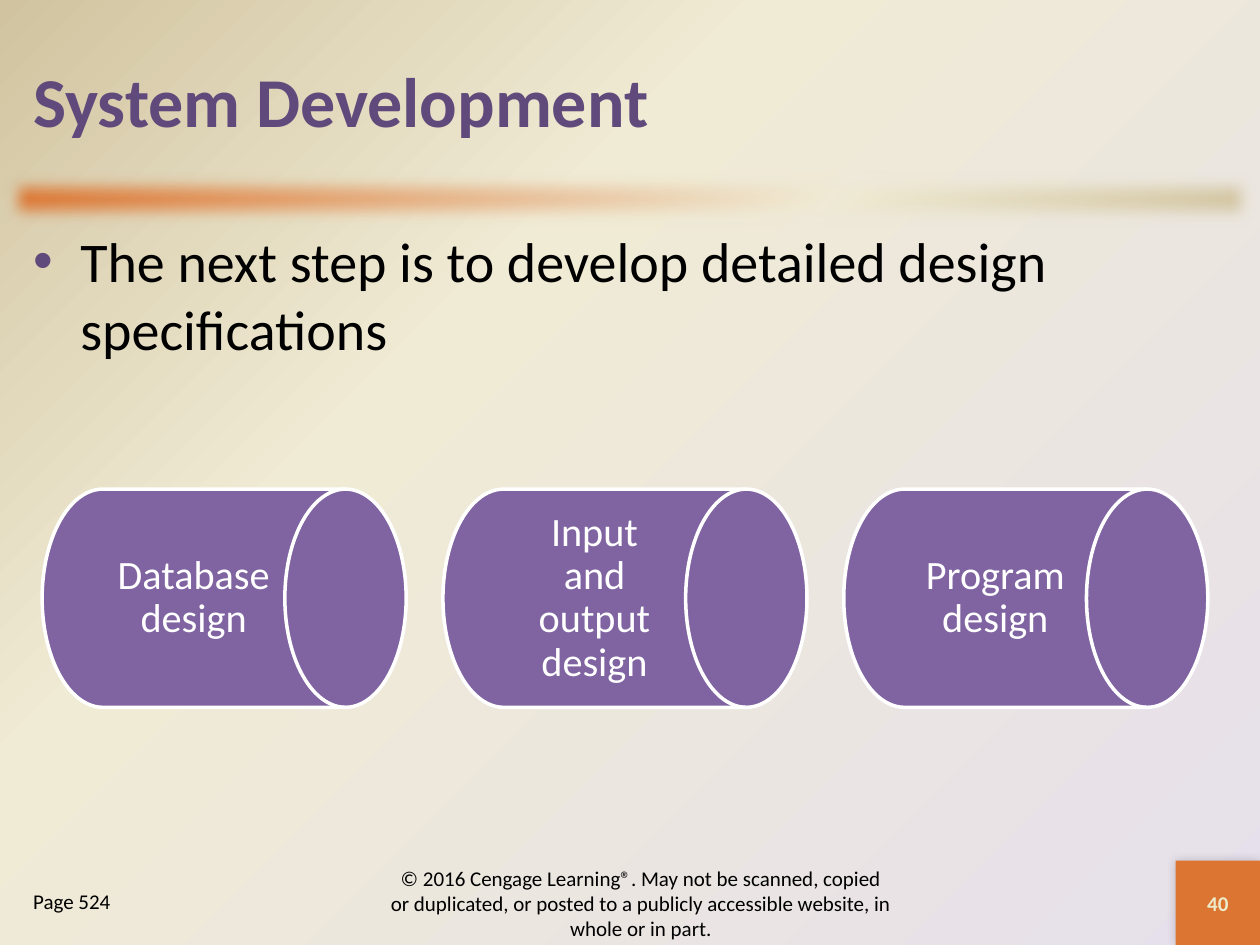
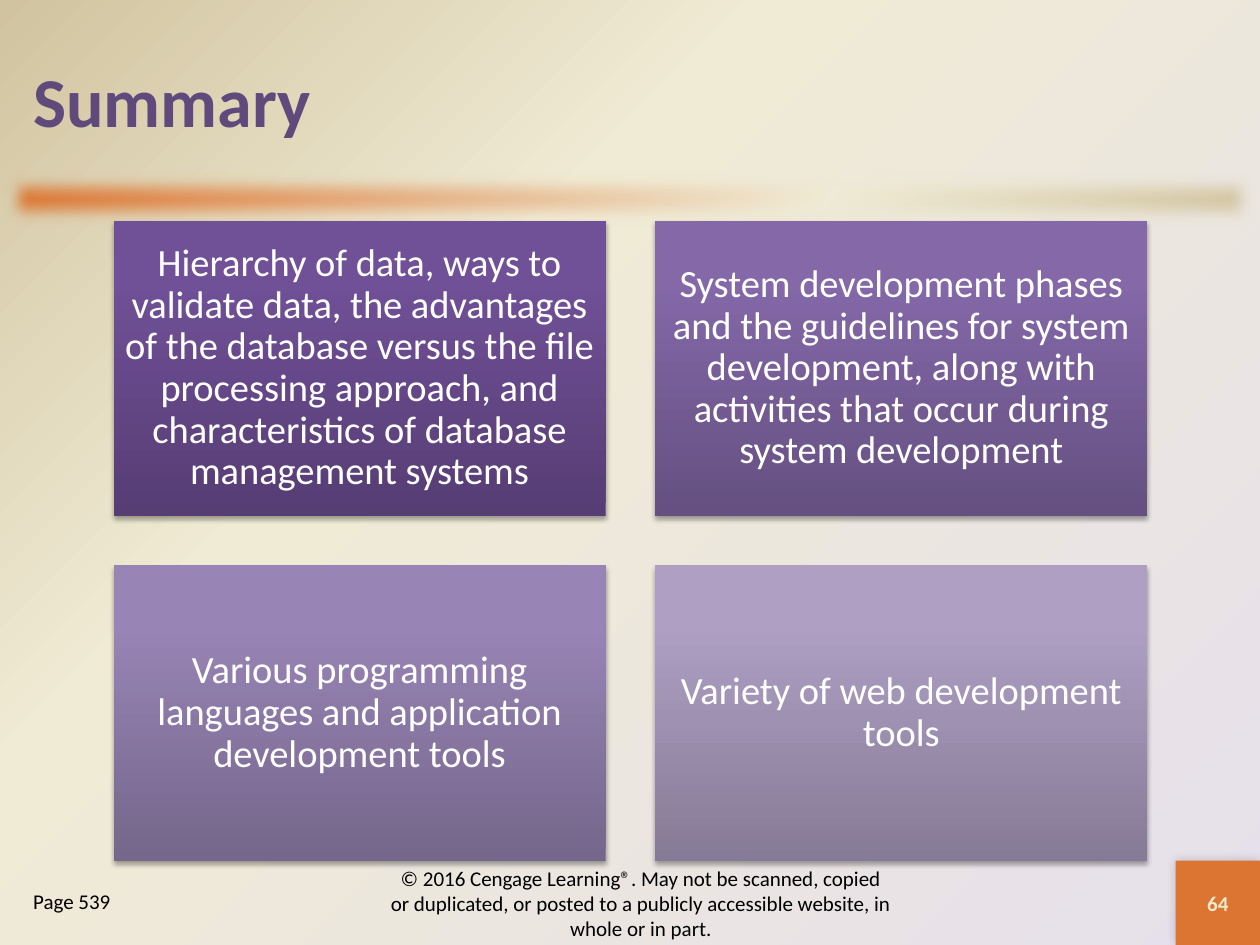
from lxml import etree
from pptx import Presentation
from pptx.dml.color import RGBColor
from pptx.enum.shapes import MSO_SHAPE
from pptx.enum.text import MSO_ANCHOR, PP_ALIGN
from pptx.oxml import parse_xml
from pptx.oxml.ns import nsdecls, qn
from pptx.util import Cm, Pt

RECT = MSO_SHAPE.RECTANGLE
DRUM = MSO_SHAPE.FLOWCHART_DIRECT_ACCESS_STORAGE
LEFT, CENTER = PP_ALIGN.LEFT, PP_ALIGN.CENTER
TOP, MIDDLE = MSO_ANCHOR.TOP, MSO_ANCHOR.MIDDLE

FONT = "Calibri"
PURPLE, DRUM_PURPLE, ORANGE = "604A7B", "8064A2", "DB7531"
CREAM, BLACK, WHITE = "EEEBCA", "000000", "FFFFFF"
BACKDROP = [(0, "E6E0EC"), (65, "F0EBD5"), (100, "D1C39F")]
BAND = [(0, ORANGE)] + BACKDROP[1:]
CORNER_GLOW = ('<a:path path="circle"><a:fillToRect l="100000" t="100000"/></a:path>'
               '<a:tileRect r="-100000" b="-100000"/>')

COPYRIGHT = ("© 2016 Cengage Learning®. May not be scanned, copied or duplicated, "
             "or posted to a publicly accessible website, in whole or in part.")

DEVELOPMENT = {
    "title": "System Development", "page": "Page 524", "number": "40",
    "bullet": "The next step is to develop detailed design specifications",
    "designs": ["Database design", "Input and output design", "Program design"],
}
SUMMARY = {
    "title": "Summary", "page": "Page 539", "number": "64",
    "topics": [
        ("Hierarchy of data, ways to validate data, the advantages of the database versus "
         "the file processing approach, and characteristics of database management systems",
         ("563D74", "705097", "704F99")),
        ("System development phases and the guidelines for system development, along with "
         "activities that occur during system development",
         ("655081", "8468A8", "8467AA")),
        ("Various programming languages and application development tools",
         ("75668B", "9884B5", "9984B7")),
        ("Variety of web development tools",
         ("867B96", "AE9FC3", "AE9FC4")),
    ],
}


def rgb(color):
    return RGBColor.from_string(color)


def linear(degrees):
    return f'<a:lin ang="{degrees * 60000}" scaled="0"/>'


def set_gradient(fill, properties, stops, direction):
    fill.solid()
    stop_xml = "".join(f'<a:gs pos="{pos * 1000}"><a:srgbClr val="{color}"/></a:gs>'
                       for pos, color in stops)
    gradient = parse_xml(f'<a:gradFill {nsdecls("a")} rotWithShape="1">'
                         f'<a:gsLst>{stop_xml}</a:gsLst>{direction}</a:gradFill>')
    properties.replace(properties.find(qn("a:solidFill")), gradient)


def add_effect(shape, tag, **attributes):
    effects = shape.element.spPr.find(qn("a:effectLst"))
    return etree.SubElement(effects, qn(tag), {k: str(v) for k, v in attributes.items()})


def add_shadow(shape, opacity, blur, distance, degrees):
    shadow = add_effect(shape, "a:outerShdw", blurRad=Pt(blur), dist=Pt(distance),
                        dir=degrees * 60000, rotWithShape=0)
    color = etree.SubElement(shadow, qn("a:srgbClr"), val=BLACK)
    etree.SubElement(color, qn("a:alpha"), val=str(opacity * 1000))


def write(shape, text, size, color, bold=False, align=LEFT, anchor=TOP,
          inset=None, spacing=None, bullet=None):
    frame = shape.text_frame
    frame.word_wrap = True
    frame.vertical_anchor = anchor
    if inset is not None:
        frame.margin_left = frame.margin_right = Cm(inset)
        frame.margin_top = frame.margin_bottom = Cm(inset)
    paragraph = frame.paragraphs[0]
    paragraph.text = text
    paragraph.alignment = align
    if spacing:
        paragraph.line_spacing = spacing
    if bullet:
        properties = paragraph._p.get_or_add_pPr()
        properties.set("marL", str(Cm(0.95)))
        properties.set("indent", str(-Cm(0.95)))
        bullet_color = etree.SubElement(properties, qn("a:buClr"))
        etree.SubElement(bullet_color, qn("a:srgbClr"), val=bullet)
        etree.SubElement(properties, qn("a:buFont"), typeface="Arial")
        etree.SubElement(properties, qn("a:buChar"), char="•")
    font = paragraph.font
    font.name, font.size, font.bold = FONT, Pt(size), bold
    font.color.rgb = rgb(color)


def add_text(slide, box, text, size, color, **style):
    write(slide.shapes.add_textbox(*map(Cm, box)), text, size, color, **style)


def add_block(slide, kind, box, fill=None):
    block = slide.shapes.add_shape(kind, *map(Cm, box))
    block.shadow.inherit = False
    block.line.fill.background()
    if fill:
        block.fill.solid()
        block.fill.fore_color.rgb = rgb(fill)
    return block


def add_framed_slide(prs, content):
    slide = prs.slides.add_slide(prs.slide_layouts[6])
    backdrop = slide.background.fill
    backdrop.solid()
    set_gradient(backdrop, slide.element.find(".//" + qn("p:bgPr")), BACKDROP, CORNER_GLOW)

    band = add_block(slide, RECT, (0, 3.38, 25.4, 1.27))
    set_gradient(band.fill, band.element.spPr, BAND, linear(45))
    add_effect(band, "a:softEdge", rad=Pt(10))

    number = add_block(slide, RECT, (23.7, 17.35, 1.7, 1.7), ORANGE)
    add_shadow(number, 20, 6, 0, 225)
    write(number, content["number"], 12, CREAM, bold=True, align=CENTER, anchor=MIDDLE)

    add_text(slide, (0.42, 0.42, 24.56, 3.18), content["title"], 40, PURPLE,
             bold=True, anchor=MIDDLE)
    add_text(slide, (7.62, 17.57, 10.6, 1.27), COPYRIGHT, 12, BLACK,
             align=CENTER, anchor=MIDDLE)
    add_text(slide, (0.42, 17.78, 4.65, 1.27), content["page"], 12, BLACK)
    return slide


def build_development(prs):
    slide = add_framed_slide(prs, DEVELOPMENT)
    add_text(slide, (0.42, 4.45, 24.56, 12.9), DEVELOPMENT["bullet"], 32, BLACK, bullet=PURPLE)
    left, top, width, height, pitch = 0.85, 9.86, 7.34, 4.4, 8.08
    for i, design in enumerate(DEVELOPMENT["designs"]):
        drum = add_block(slide, DRUM, (left + i * pitch, top, width, height), DRUM_PURPLE)
        drum.line.color.rgb = rgb(WHITE)
        drum.line.width = Pt(2)
        write(drum, design, 23, WHITE, align=CENTER, anchor=MIDDLE, inset=0.25, spacing=0.9)


def build_summary(prs):
    slide = add_framed_slide(prs, SUMMARY)
    left, top, width, height, gap = 2.29, 4.45, 9.92, 5.95, 1
    for i, (topic, colors) in enumerate(SUMMARY["topics"]):
        row, column = divmod(i, 2)
        card = add_block(slide, RECT, (left + column * (width + gap),
                                       top + row * (height + gap), width, height))
        set_gradient(card.fill, card.element.spPr, zip((0, 80, 100), colors), linear(270))
        add_shadow(card, 35, 3.1, 1.8, 90)
        write(card, topic, 22, WHITE, align=CENTER, anchor=MIDDLE, inset=0.23, spacing=0.9)


def main():
    prs = Presentation()
    prs.slide_width, prs.slide_height = Cm(25.4), Cm(19.05)
    build_development(prs)
    build_summary(prs)
    prs.save("out.pptx")


if __name__ == "__main__":
    main()
